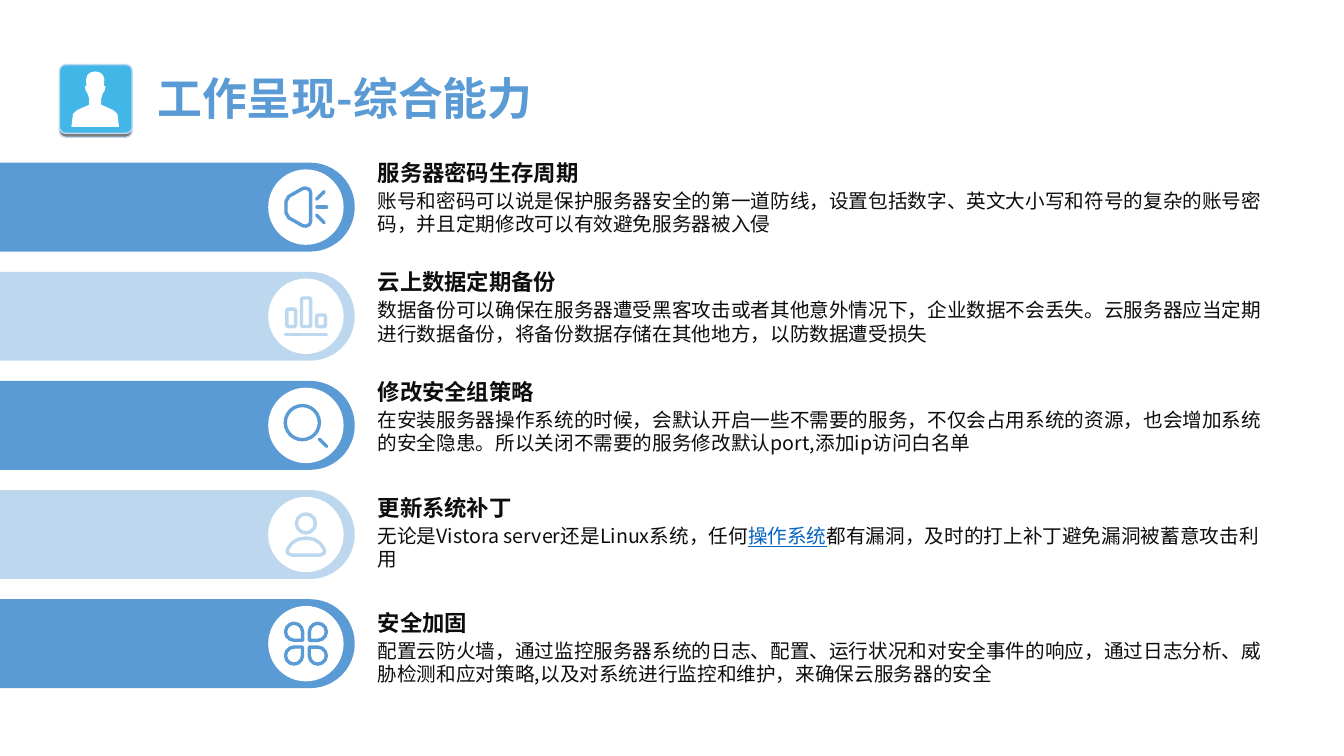
from dataclasses import dataclass

from lxml.etree import SubElement as Sub
from pptx import Presentation as Deck
from pptx.dml.color import RGBColor as Rgb
from pptx.enum.shapes import MSO_CONNECTOR as Link, MSO_SHAPE as Geo
from pptx.enum.text import MSO_ANCHOR as Anchor, MSO_AUTO_SIZE as Fit, PP_ALIGN as Align
from pptx.oxml.ns import qn
from pptx.util import Cm, Pt


@dataclass(frozen=True)
class Theme:
    face: str = "Noto Sans CJK SC"
    blue: str = "5B9BD5"
    pale: str = "BDD7EE"
    sky: str = "41B6E7"
    gray: str = "7C7C7C"
    white: str = "FFFFFF"
    ink: str = "0D0D0D"
    link: str = "0563C1"
    title: int = 32
    head: int = 16
    body: int = 14
    pen: float = 2.4
    edge: float = 1


T = Theme()
STEP = 2.75
MID_X, MID_Y = 7.71, 5.22
BAR_W, BAR_H = 8.94, 2.24
DISC = 1.9
TEXT_X, TEXT_W = 9.52, 22.48
FLAT = dict(margin_left=0, margin_right=0, margin_top=0, margin_bottom=0, word_wrap=True)

ITEMS = [
    (4.01, "服务器密码生存周期",
     ["账号和密码可以说是保护服务器安全的第一道防线，设置包括数字、英文大小写和符号的复杂的账号密码，并且定期修改可以有效避免服务器被入侵"]),
    (6.76, "云上数据定期备份",
     ["数据备份可以确保在服务器遭受黑客攻击或者其他意外情况下，企业数据不会丢失。云服务器应当定期进行数据备份，将备份数据存储在其他地方，以防数据遭受损失"]),
    (9.52, "修改安全组策略",
     ["在安装服务器操作系统的时候，会默认开启一些不需要的服务，不仅会占用系统的资源，也会增加系统的安全隐患。所以关闭不需要的服务修改默认port,添加ip访问白名单"]),
    (12.45, "更新系统补丁",
     ["无论是Vistora server还是Linux系统，任何", "操作系统", "都有漏洞，及时的打上补丁避免漏洞被蓄意攻击利用"]),
    (15.34, "安全加固",
     ["配置云防火墙，通过监控服务器系统的日志、配置、运行状况和对安全事件的响应，通过日志分析、威胁检测和应对策略,以及对系统进行监控和维护，来确保云服务器的安全"]),
]

HORN = [(-.5, -.15), (-.43, -.27), (-.08, -.47), (0, -.48), (.09, -.44), (.12, -.36)]
TORSO = [(0, .09), (.2, .12), (.36, .22), (.47, .38), (.46, .47), (.36, .52)]
BUST = [(0, 0), (.13, .03), (.2, .1), (.23, .2), (.22, .36), (.26, .38), (.24, .48),
        (.2, .54), (.15, .69), (.15, .84), (.29, .9), (.46, .98), (.56, 1.07), (.6, 1.4)]


def put(item, vals):
    for key, val in vals.items():
        setattr(item, key, val)


def paint(shape, fill=None, line=None, width=T.edge):
    shape.shadow.inherit = False
    if fill:
        shape.fill.solid()
        shape.fill.fore_color.rgb = Rgb.from_string(fill)
    else:
        shape.fill.background()
    if line:
        ink(shape, line, width)
    else:
        shape.line.fill.background()
    return shape


def ink(shape, color, width):
    shape.line.color.rgb = Rgb.from_string(color)
    shape.line.width = Pt(width)
    edge = shape.element.spPr.find(qn("a:ln"))
    edge.set("cap", "rnd")
    Sub(edge, qn("a:round"))


def add(shapes, kind, x, y, w, h, *look, turn=0, bend=()):
    shape = shapes.add_shape(kind, Cm(x), Cm(y), Cm(w), Cm(h))
    shape.rotation = turn
    for i, val in enumerate(bend):
        shape.adjustments[i] = val
    return paint(shape, *look)


def poly(shapes, x, y, dots, *look):
    dots = [(Cm(x + dx), Cm(y + dy)) for dx, dy in dots]
    pen = shapes.build_freeform(*dots[0])
    pen.add_line_segments(dots[1:], close=True)
    return paint(pen.convert_to_shape(), *look)


def wire(shapes, x, y, ends, color):
    x1, y1, x2, y2 = ends
    line = shapes.add_connector(Link.STRAIGHT, Cm(x + x1), Cm(y + y1), Cm(x + x2), Cm(y + y2))
    ink(line, color, T.pen)
    Sub(line.element.spPr, qn("a:effectLst"))


def flip(half):
    return half + [(-x, y) for x, y in reversed(half)]


def write(para, text, size, color, **style):
    run = para.add_run()
    run.text = text
    put(run.font, dict(name=T.face, size=Pt(size), **style))
    run.font.color.rgb = Rgb.from_string(color)
    Sub(run.font._element, qn("a:ea")).set("typeface", T.face)


def text_box(shapes, y, h, **frame):
    box = shapes.add_textbox(Cm(TEXT_X), Cm(y), Cm(TEXT_W), Cm(h)).text_frame
    put(box, {**FLAT, **frame})
    return box.paragraphs[0]


def horn(shapes, x, y, color):
    poly(shapes, x, y, HORN + [(a, -b) for a, b in reversed(HORN)], None, color, T.pen)
    for ends in [(.28, 0, .52, 0), (.27, -.2, .46, -.39), (.27, .2, .46, .39)]:
        wire(shapes, x, y, ends, color)


def chart(shapes, x, y, color):
    for dx, dy, w, h in [(-.48, -.18, .22, .44), (-.11, -.46, .23, .72), (.27, -.03, .22, .29)]:
        add(shapes, Geo.ROUNDED_RECTANGLE, x + dx, y + dy, w, h, None, color, T.pen)
    wire(shapes, x, y, (-.52, .46, .52, .46), color)


def lens(shapes, x, y, color):
    add(shapes, Geo.OVAL, x - .52, y - .5, .86, .86, None, color, T.pen)
    wire(shapes, x, y, (.34, .35, .52, .53), color)


def user(shapes, x, y, color):
    add(shapes, Geo.OVAL, x - .24, y - .52, .48, .48, None, color, T.pen)
    poly(shapes, x, y, flip(TORSO), None, color, T.pen)


def clover(shapes, x, y, color):
    size = .43
    for sx, sy, turn in [(-1, -1, 90), (1, -1, 180), (1, 1, 270), (-1, 1, 0)]:
        add(shapes, Geo.TEAR, x + sx * .3 - size / 2, y + sy * .3 - size / 2,
            size, size, None, color, T.pen, turn=turn)


def badge(shapes):
    group = shapes.add_group_shape().shapes
    for y, fill in [(1.73, T.gray), (1.63, T.sky)]:
        add(group, Geo.ROUNDED_RECTANGLE, 1.5, y, 1.83, 1.73, fill, T.pale, bend=[.09])
    poly(group, 2.4, 1.8, flip(BUST), T.white)


def title(shape):
    put(shape, dict(left=Cm(3.71), top=Cm(1.5), width=Cm(10.08), height=Cm(2.18)))
    put(shape.text_frame, dict(vertical_anchor=Anchor.MIDDLE, word_wrap=True, auto_size=Fit.NONE))
    para = shape.text_frame.paragraphs[0]
    put(para, dict(alignment=Align.LEFT, line_spacing=.8))
    write(para, "工作呈现-综合能力", T.title, T.blue, bold=True)


def row(shapes, i, icon, item):
    top, head, parts = item
    color = (T.blue, T.pale)[i % 2]
    mid = MID_Y + i * STEP
    add(shapes, Geo.ROUND_2_SAME_RECTANGLE, (BAR_W - BAR_H) / 2, mid - BAR_W / 2,
        BAR_H, BAR_W, color, turn=90, bend=[.5, 0])
    add(shapes, Geo.OVAL, MID_X - DISC / 2, mid - DISC / 2, DISC, DISC, T.white)
    icon(shapes, MID_X, mid, color)
    para = text_box(shapes, top, .69, vertical_anchor=Anchor.MIDDLE, auto_size=Fit.SHAPE_TO_FIT_TEXT)
    write(para, head, T.head, T.ink, bold=True)
    para = text_box(shapes, top + .75, 1.3)
    for n, part in enumerate(parts):
        write(para, part, T.body, (T.ink, T.link)[n % 2], underline=n % 2 == 1)


def main():
    deck = Deck()
    put(deck, dict(slide_width=Cm(33.87), slide_height=Cm(19.05)))
    shapes = deck.slides.add_slide(deck.slide_layouts[5]).shapes
    title(shapes.title)
    badge(shapes)
    for i, (icon, item) in enumerate(zip([horn, chart, lens, user, clover], ITEMS)):
        row(shapes, i, icon, item)
    deck.save("out.pptx")


if __name__ == "__main__":
    main()
